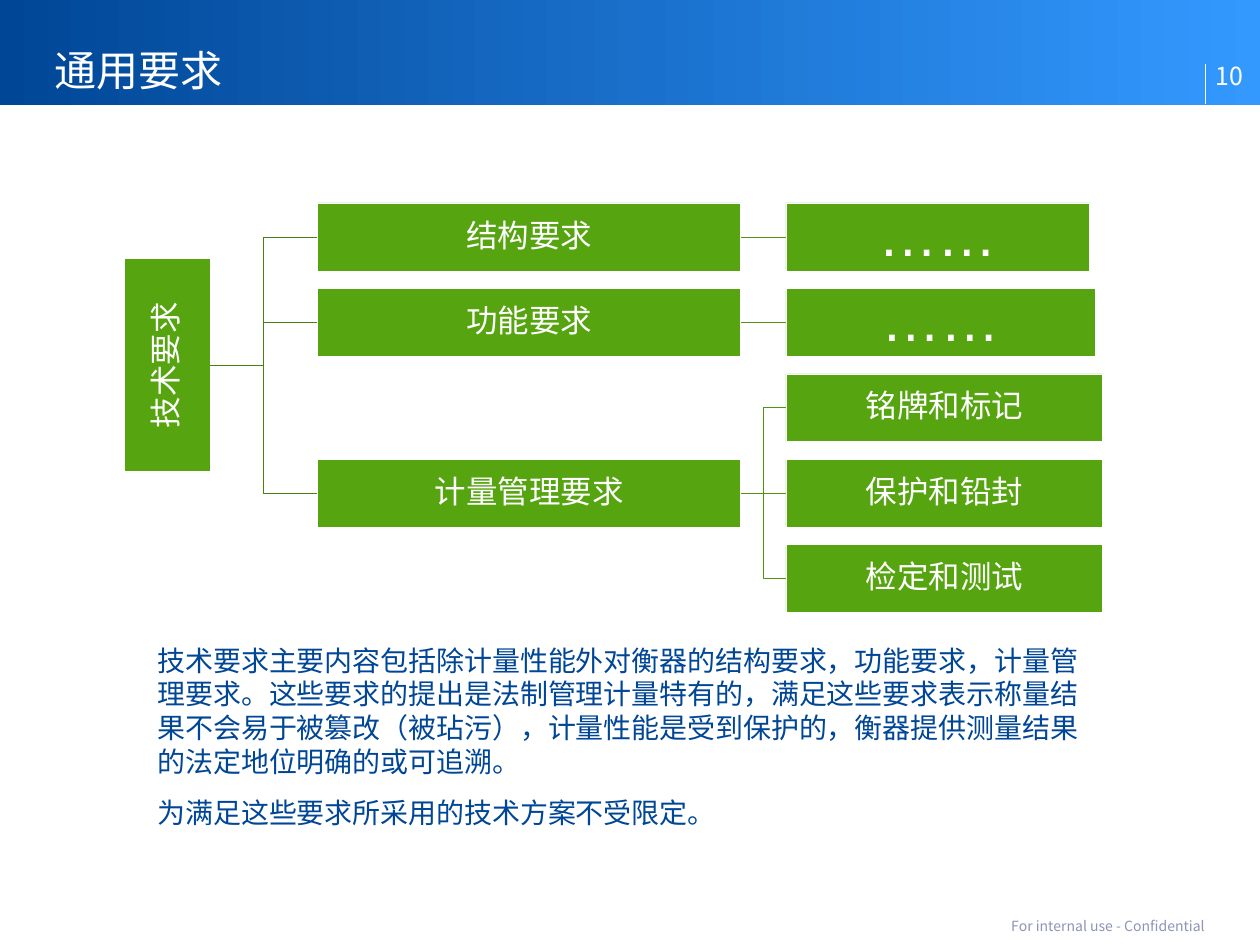
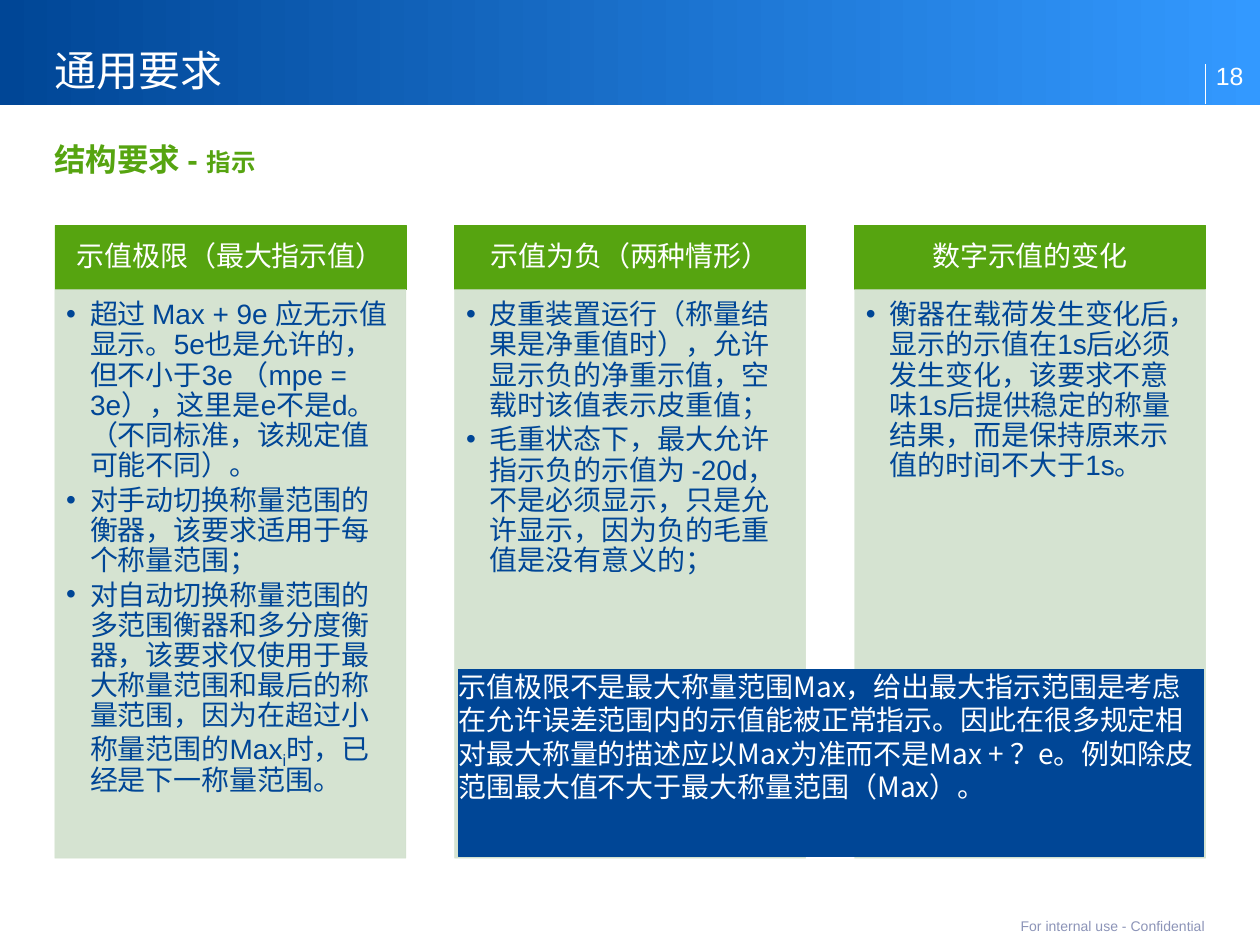
from lxml.etree import SubElement
from pptx import Presentation
from pptx.dml.color import RGBColor
from pptx.enum.shapes import MSO_CONNECTOR, MSO_SHAPE
from pptx.enum.text import MSO_ANCHOR, MSO_AUTO_SIZE, PP_ALIGN
from pptx.oxml.ns import qn
from pptx.util import Pt

# Shared look
NAVY, SKY, GREEN, PALE = "004696", "3399FF", "56A410", "D1E0CC"
WHITE, GREY, STEM, TWIG = "FFFFFF", "8C94B8", "45830D", "4E950F"
NOTO, ARIAL = "Noto Sans CJK SC", "Arial"
LEFT, MID, RIGHT = PP_ALIGN.LEFT, PP_ALIGN.CENTER, PP_ALIGN.RIGHT
WIDE, HIGH = 720, 540
HAIR = 0.25


def tint(hue):
    return RGBColor.from_string(hue)


# Text helpers
def frame(shape, pads=(0, 0, 0, 0), anchor=MSO_ANCHOR.TOP):
    body = shape.text_frame
    body.word_wrap = True
    body.auto_size = MSO_AUTO_SIZE.NONE
    body.vertical_anchor = anchor
    (body.margin_left, body.margin_top,
     body.margin_right, body.margin_bottom) = map(Pt, pads)
    return body


def add_run(para, words, size, hue, face, bold=False, east=NOTO, base=0):
    run = para.add_run()
    run.text = words
    font = run.font
    font.size, font.name, font.bold = Pt(size), face, bold
    font.color.rgb = tint(hue)
    props = run._r.get_or_add_rPr()
    SubElement(props, qn("a:ea")).set("typeface", east)
    if base:
        props.set("baseline", str(base * 1000))


def line_up(para, align=LEFT, pitch=None, before=0, after=0):
    para.alignment = align
    para.space_before, para.space_after = Pt(before), Pt(after)
    if pitch:
        para.line_spacing = pitch


def bullet(para, indent):
    props = para._p.get_or_add_pPr()
    props.set("marL", str(Pt(indent)))
    props.set("indent", str(-Pt(indent)))
    SubElement(props, qn("a:buFont")).set("typeface", ARIAL)
    SubElement(props, qn("a:buChar")).set("char", "•")


# Shape helpers
def add_box(slide, box, hue, edge):
    rect = slide.shapes.add_shape(MSO_SHAPE.RECTANGLE, *map(Pt, box))
    rect.shadow.inherit = False
    rect.fill.solid()
    rect.fill.fore_color.rgb = tint(hue)
    rect.line.color.rgb = tint(edge)
    rect.line.width = Pt(HAIR)
    return rect


def add_note(slide, box, words, size, hue, face, align, pads, anchor):
    note = slide.shapes.add_textbox(*map(Pt, box))
    para = frame(note, pads, anchor).paragraphs[0]
    line_up(para, align)
    add_run(para, words, size, hue, face)
    return para


def add_line(slide, start, end, hue, width=HAIR):
    kind = MSO_CONNECTOR.STRAIGHT
    if start[0] != end[0] and abs(start[1] - end[1]) > 1:
        kind = MSO_CONNECTOR.ELBOW
    link = slide.shapes.add_connector(kind, *map(Pt, start + end))
    link.line.color.rgb = tint(hue)
    link.line.width = Pt(width)
    SubElement(link._element.spPr, qn("a:effectLst"))
    return link


def label(rect, words, size, face=NOTO, east=NOTO, pads=(1, 1, 1, 1)):
    para = frame(rect, pads, MSO_ANCHOR.MIDDLE).paragraphs[0]
    line_up(para, MID, 0.9)
    add_run(para, words, size, WHITE, face, east=east)


# Band, title, page number and footer
def add_page(deck, number, face):
    slide = deck.slides.add_slide(deck.slide_layouts[5])
    title = slide.shapes.title
    band = slide.shapes.add_shape(
        MSO_SHAPE.RECTANGLE, 0, 0, Pt(WIDE), Pt(60.2))
    band.shadow.inherit = False
    band.line.fill.background()
    band.fill.gradient()
    band.fill.gradient_angle = 0
    for stop, hue in zip(band.fill.gradient_stops, (NAVY, SKY)):
        stop.color.rgb = tint(hue)
    rule = add_line(slide, (689, 59.5), (689, 36.7), WHITE, 0.5)
    for part in (band, rule):
        title._element.addprevious(part._element)

    title.left, title.top, title.width, title.height = map(
        Pt, (31, 14.7, 544, 45.4))
    para = frame(title, (0, 0, 0, 5.8), MSO_ANCHOR.BOTTOM).paragraphs[0]
    line_up(para, LEFT, Pt(26))
    add_run(para, "通用要求", 24, WHITE, face)

    add_note(slide, (689, 26, 31, 33.8), number, 14.2, WHITE, face,
             LEFT, (5.8, 0, 0, 7.9), MSO_ANCHOR.BOTTOM)
    add_note(slide, (31, 523, 657.7, 12.2),
             "For internal use - Confidential", 8, GREY, face,
             RIGHT, (0, 3.6, 0, 3.6), MSO_ANCHOR.MIDDLE)
    return slide


# Requirement tree: each branch has its row and its leaves (row, width, text)
DOTS = "……"
TREE = [
    (0, "结构要求", [(0, 173.5, DOTS)]),
    (1, "功能要求", [(1, 177, DOTS)]),
    (3, "计量管理要求", [(2, 181, "铭牌和标记"),
                   (3, 181, "保护和铅封"),
                   (4, 181, "检定和测试")]),
]


def draw_tree(slide, left, top):
    high, pitch = 38.8, 48.8
    fork, leaf, wide = left + 110, left + 377.8, 242
    trunk, span = 48.8, 121.8

    def mid(row):
        return top + row * pitch + high / 2

    heart = (mid(0) + mid(3)) / 2
    root = add_box(slide, (left + (trunk - span) / 2, heart - trunk / 2,
                           span, trunk), GREEN, WHITE)
    root.rotation = 270
    label(root, "技术要求", 18)

    for row, words, leaves in TREE:
        branch = add_box(slide, (fork, top + row * pitch, wide, high),
                         GREEN, WHITE)
        label(branch, words, 18)
        add_line(slide, (left + trunk, heart), (fork, mid(row)), STEM)
        for step, width, text in leaves:
            tip = add_box(slide, (leaf, top + step * pitch, width, high),
                          GREEN, WHITE)
            if text == DOTS:
                label(tip, text, 34, ARIAL, ARIAL)
            else:
                label(tip, text, 18)
            link = add_line(slide, (fork + wide, mid(row)),
                            (leaf, mid(step)), TWIG)
            if step == row:
                link.begin_connect(branch, 3)
                link.end_connect(tip, 1)


def fill_prose(shape, texts, hue):
    body = frame(shape)
    for spot, words in enumerate(texts):
        para = body.add_paragraph() if spot else body.paragraphs[0]
        line_up(para, LEFT, Pt(19.2), 4 if spot else 0, 6)
        add_run(para, words, 16, hue, NOTO)


PROSE = [
    "技术要求主要内容包括除计量性能外对衡器的结构要求，功能要求，计量管理要求。"
    "这些要求的提出是法制管理计量特有的，满足这些要求表示称量结果不会易于被篡改"
    "（被玷污），计量性能是受到保护的，衡器提供测量结果的法定地位明确的或可追溯。",
    "为满足这些要求所采用的技术方案不受限定。",
]


def tree_page(deck):
    slide = add_page(deck, "10", NOTO)
    draw_tree(slide, 71.3, 116)
    prose = slide.shapes.add_textbox(*map(Pt, (90, 367.6, 530, 107)))
    fill_prose(prose, PROSE, NAVY)


# Three columns: heading, then points, each a list of (text, baseline)
PANELS = [
    ("示值极限（最大指示值）", [
        [("超过 Max + 9e 应无示值显示。5e也是允许的，但不小于3e （mpe = 3e），"
          "这里是e不是d。（不同标准，该规定值可能不同）。", 0)],
        [("对手动切换称量范围的衡器，该要求适用于每个称量范围；", 0)],
        [("对自动切换称量范围的多范围衡器和多分度衡器，该要求仅使用于最大称量范围"
          "和最后的称量范围，因为在超过小称量范围的Max", 0),
         ("i", -25), ("时，已经是下一称量范围。", 0)]]),
    ("示值为负（两种情形）", [
        [("皮重装置运行（称量结果是净重值时），允许显示负的净重示值，"
          "空载时该值表示皮重值；", 0)],
        [("毛重状态下，最大允许指示负的示值为 -20d，不是必须显示，"
          "只是允许显示，因为负的毛重值是没有意义的；", 0)]]),
    ("数字示值的变化", [
        [("衡器在载荷发生变化后，显示的示值在1s后必须发生变化，该要求不意味1s后"
          "提供稳定的称量结果，而是保持原来示值的时间不大于1s。", 0)]]),
]
REMARK = ("示值极限不是最大称量范围Max，给出最大指示范围是考虑在允许误差范围内的示值"
          "能被正常指示。因此在很多规定相对最大称量的描述应以Max为准而不是Max + ？e。"
          "例如除皮范围最大值不大于最大称量范围（Max）。")


def draw_panel(slide, box, head, points):
    left, top, wide, high = box
    cap = 36.5
    label(add_box(slide, (left, top, wide, cap), GREEN, GREEN),
          head, 16, ARIAL, pads=(8.6, 5, 8.6, 5))
    panel = add_box(slide, (left, top + cap, wide, high - cap), PALE, PALE)
    for shade in panel._element.spPr.iter(qn("a:srgbClr")):
        SubElement(shade, qn("a:alpha")).set("val", "90000")
    body = frame(panel, (6.5, 6.5, 8.6, 10))
    for spot, runs in enumerate(points):
        para = body.add_paragraph() if spot else body.paragraphs[0]
        line_up(para, LEFT, 0.9, after=2.4)
        bullet(para, 13.7)
        for words, base in runs:
            add_run(para, words, 16, NAVY, ARIAL, base=base)


def panel_page(deck):
    slide = add_page(deck, "18", ARIAL)
    para = add_note(slide, (31, 80, 658, 26), "结构要求 - ", 18, GREEN,
                    ARIAL, LEFT, (0, 0, 0, 5.8), MSO_ANCHOR.TOP)
    para.runs[0].font.bold = True
    add_run(para, "指示", 14, GREEN, ARIAL, bold=True)
    for spot, (head, points) in enumerate(PANELS):
        draw_panel(slide, (31.3 + spot * 228.5, 128.8, 200.6, 361.6),
                   head, points)
    remark = add_box(slide, (262, 382.4, 425.8, 107.2), NAVY, NAVY)
    fill_prose(remark, [REMARK], WHITE)


def main():
    deck = Presentation()
    deck.slide_width, deck.slide_height = Pt(WIDE), Pt(HIGH)
    tree_page(deck)
    panel_page(deck)
    deck.save("out.pptx")


if __name__ == "__main__":
    main()
